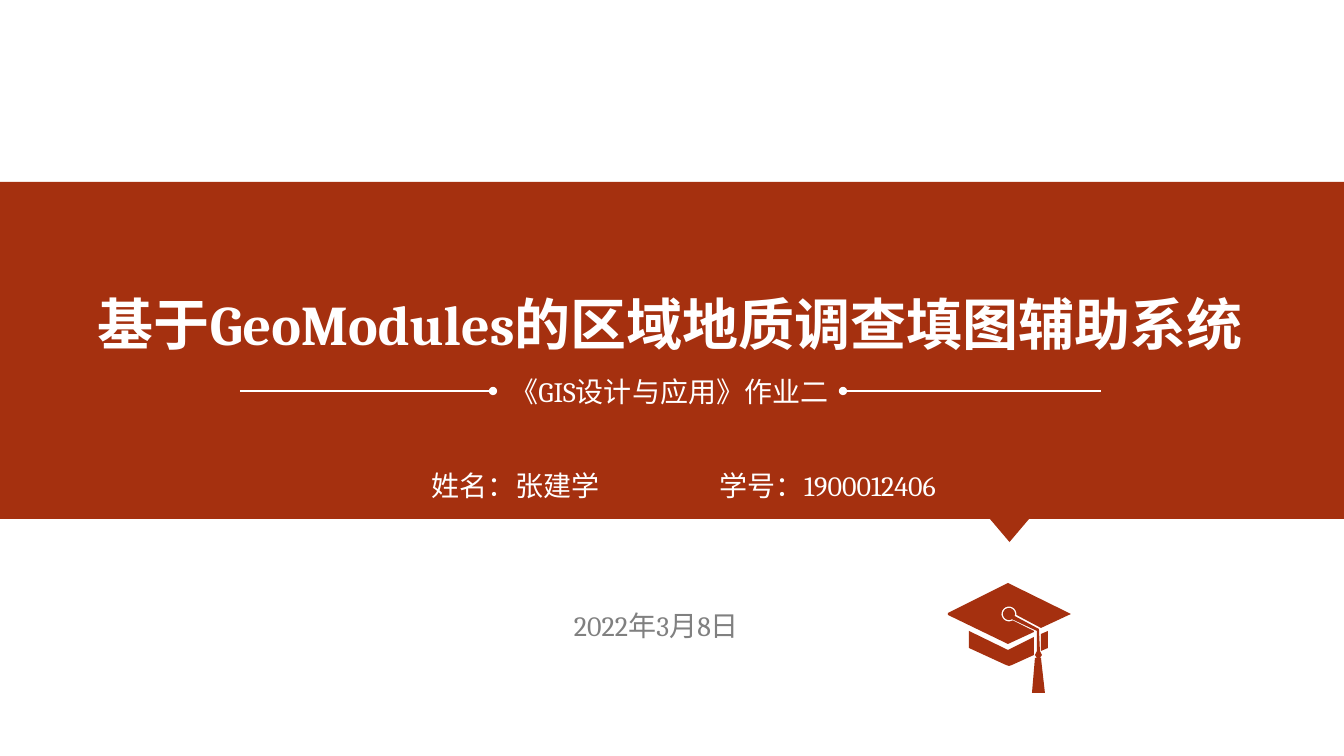
from math import cos, radians, sin

from lxml.etree import SubElement
from pptx import Presentation
from pptx.dml.color import RGBColor
from pptx.enum.shapes import MSO_CONNECTOR, MSO_SHAPE
from pptx.enum.text import MSO_ANCHOR, MSO_AUTO_SIZE, PP_ALIGN
from pptx.oxml.ns import qn
from pptx.util import Emu, Pt

RUST = RGBColor(0xA5, 0x30, 0x0F)
WHITE = RGBColor(0xFF, 0xFF, 0xFF)
GRAY = RGBColor(0x80, 0x80, 0x80)
LATIN_FONT = "Cambria"
CHINESE_FONT = "Noto Sans CJK SC"
EMU_PER_PIXEL = 914400 / 100.8
TITLE_ONLY = 5
PAGE_WIDTH, PAGE_HEIGHT = 1344, 756
BAND_TOP, BAND_HEIGHT = 182, 337
RULE_Y = 391
BUTTON = (1009, 614)


def px(length):
    """Turn pixels into EMU."""
    return Emu(round(length * EMU_PER_PIXEL))


def arc(radius, start, end, steps=24):
    """Return points of an arc round the cap button, angles in degrees."""
    angles = [radians(start + (end - start) * i / steps) for i in range(steps + 1)]
    return [(BUTTON[0] + radius * cos(a), BUTTON[1] + radius * sin(a)) for a in angles]


def write(box, text, size=20, color=WHITE, bold=False, font=LATIN_FONT,
          spacing=1.0, wrap=True):
    """Put one centred, formatted paragraph into a box."""
    frame = box.text_frame
    frame.word_wrap = wrap
    frame.auto_size = MSO_AUTO_SIZE.NONE
    frame.vertical_anchor = MSO_ANCHOR.TOP
    para = frame.paragraphs[0]
    para.alignment = PP_ALIGN.CENTER
    para.line_spacing = spacing
    span = para.add_run()
    span.text = text
    span.font.size = Pt(size)
    span.font.bold = bold
    span.font.name = font
    span.font.color.rgb = color
    SubElement(span._r.get_or_add_rPr(), qn("a:ea"), typeface=CHINESE_FONT)


class Painter:
    """Holds the style and the current slide."""

    def __init__(self, page, fill=RUST, line=WHITE, line_width=1.5):
        """Keep the slide and its colours."""
        self.page = page
        self.fill = fill
        self.line = line
        self.line_width = line_width

    def paint(self, shape):
        """Give a shape the plain fill, without outline or shadow."""
        shape.shadow.inherit = False
        shape.fill.solid()
        shape.fill.fore_color.rgb = self.fill
        shape.line.fill.background()
        return shape

    def shape(self, kind, left, top, width, height):
        """Add a filled preset shape."""
        return self.paint(self.page.shapes.add_shape(
            kind, px(left), px(top), px(width), px(height)))

    def outline(self, contours):
        """Add one filled freeform made of closed contours."""
        scaled = [[(px(x), px(y)) for x, y in contour] for contour in contours]
        builder = self.page.shapes.build_freeform(*scaled[0][0], scale=1.0)
        for index, contour in enumerate(scaled):
            if index:
                builder.move_to(*contour[0])
            builder.add_line_segments(contour[1:], close=True)
        return self.paint(builder.convert_to_shape())

    def title(self, text, left, top, width, height, **style):
        """Move the title placeholder to the front and fill it."""
        box = self.page.shapes.title
        box.left, box.top, box.width, box.height = map(px, (left, top, width, height))
        box.element.getparent().append(box.element)
        write(box, text, **style)

    def text(self, text, left, top, width, height, **style):
        """Add a text box."""
        box = self.page.shapes.add_textbox(px(left), px(top), px(width), px(height))
        write(box, text, **style)

    def rule(self, start, end, y, dot):
        """Add a horizontal line; dot is headEnd or tailEnd."""
        rule = self.page.shapes.add_connector(
            MSO_CONNECTOR.STRAIGHT, px(start), px(y), px(end), px(y))
        rule.line.color.rgb = self.line
        rule.line.width = Pt(self.line_width)
        SubElement(rule.line._get_or_add_ln(), qn("a:" + dot), type="oval")
        SubElement(rule.element.spPr, qn("a:effectLst"))


RIGHT_FLAP = [(1041, 651), (1048, 648), (1048, 631), (1041, 634)]
LEFT_FLAP = [(969, 631), (969, 648), (1006, 665), (1009, 666), (1012, 665),
             (1034, 655), (1034, 637), (1008, 650)]
CORD = [(1039, 629), *arc(6, 20, -300), (1037, 631)]
BOARD = [(1071, 614), (1008, 583), (948, 613), (948, 615), (1008, 644),
         (1034, 632), (1034, 631), *arc(7.5, 60, 367), (1041, 628)]
TASSEL = [(1039, 629), (1040, 651), (1042, 655), (1040, 658), (1041, 658),
          (1045, 693), (1032, 693), (1035, 658), (1037, 658), (1035, 655),
          (1037, 651), (1037, 631)]


def build():
    """Build the cover slide and save it."""
    deck = Presentation()
    deck.slide_width, deck.slide_height = px(PAGE_WIDTH), px(PAGE_HEIGHT)
    painter = Painter(deck.slides.add_slide(deck.slide_layouts[TITLE_ONLY]))

    painter.shape(MSO_SHAPE.RECTANGLE, 0, BAND_TOP, PAGE_WIDTH, BAND_HEIGHT)
    pointer = painter.shape(MSO_SHAPE.ISOSCELES_TRIANGLE,
                            990, BAND_TOP + BAND_HEIGHT, 39, 23)
    pointer.rotation = 180
    painter.outline([RIGHT_FLAP, LEFT_FLAP, CORD, BOARD, TASSEL])

    painter.title("基于GeoModules的区域地质调查填图辅助系统",
                  -2, 284, PAGE_WIDTH, 85, size=40, bold=True)
    painter.text("《GIS设计与应用》作业二", 465, 370, 409, 44)
    painter.rule(240, 493, RULE_Y, "tailEnd")
    painter.rule(843, 1101, RULE_Y, "headEnd")
    painter.text("姓名：张建学", 389, 457, 254, 47,
                 font=CHINESE_FONT, spacing=1.2, wrap=False)
    painter.text("学号：1900012406", 697, 457, 262, 47, spacing=1.2, wrap=False)
    painter.text("2022年3月8日", 465, 597, 383, 47, color=GRAY, spacing=1.2)

    deck.save("out.pptx")


build()
